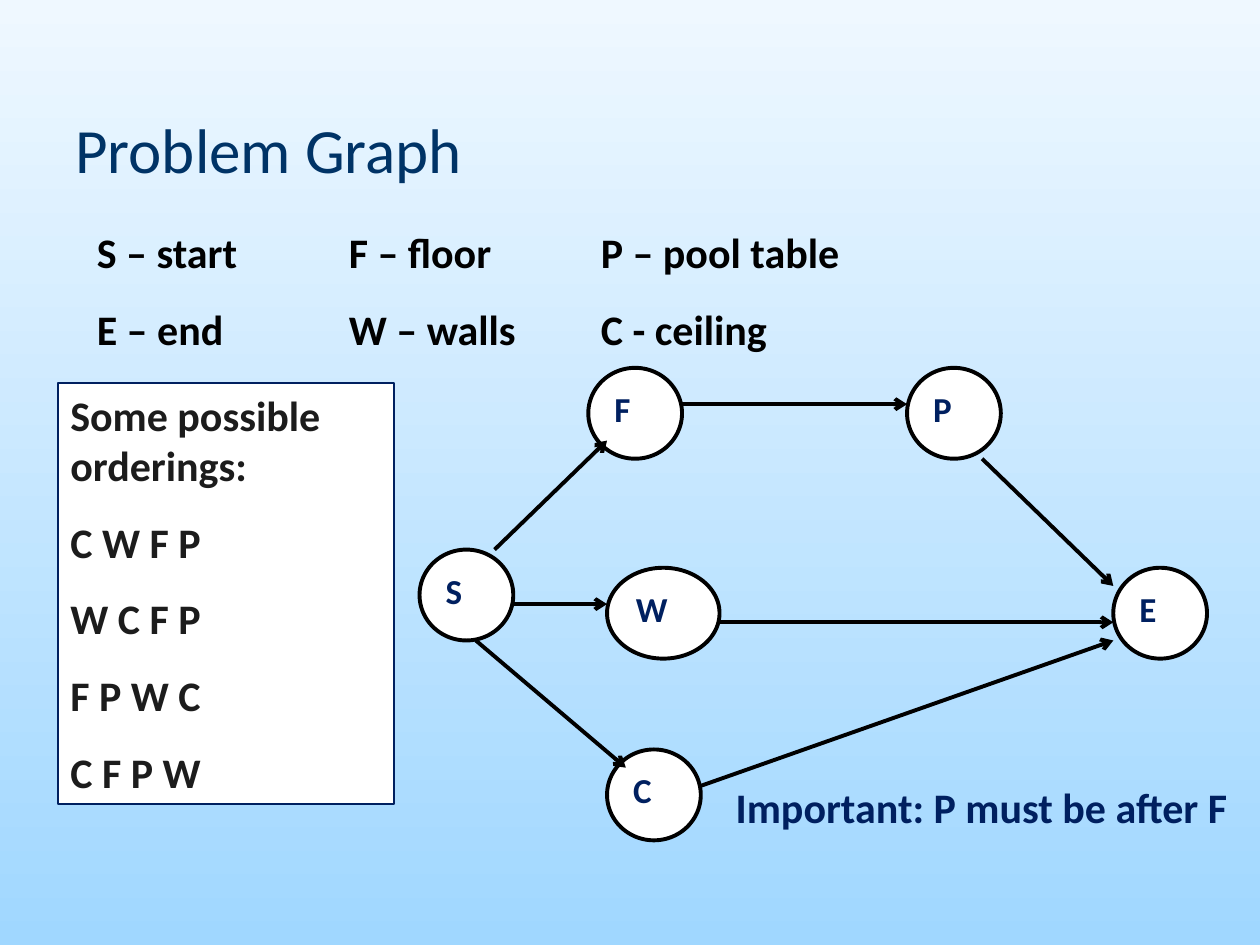
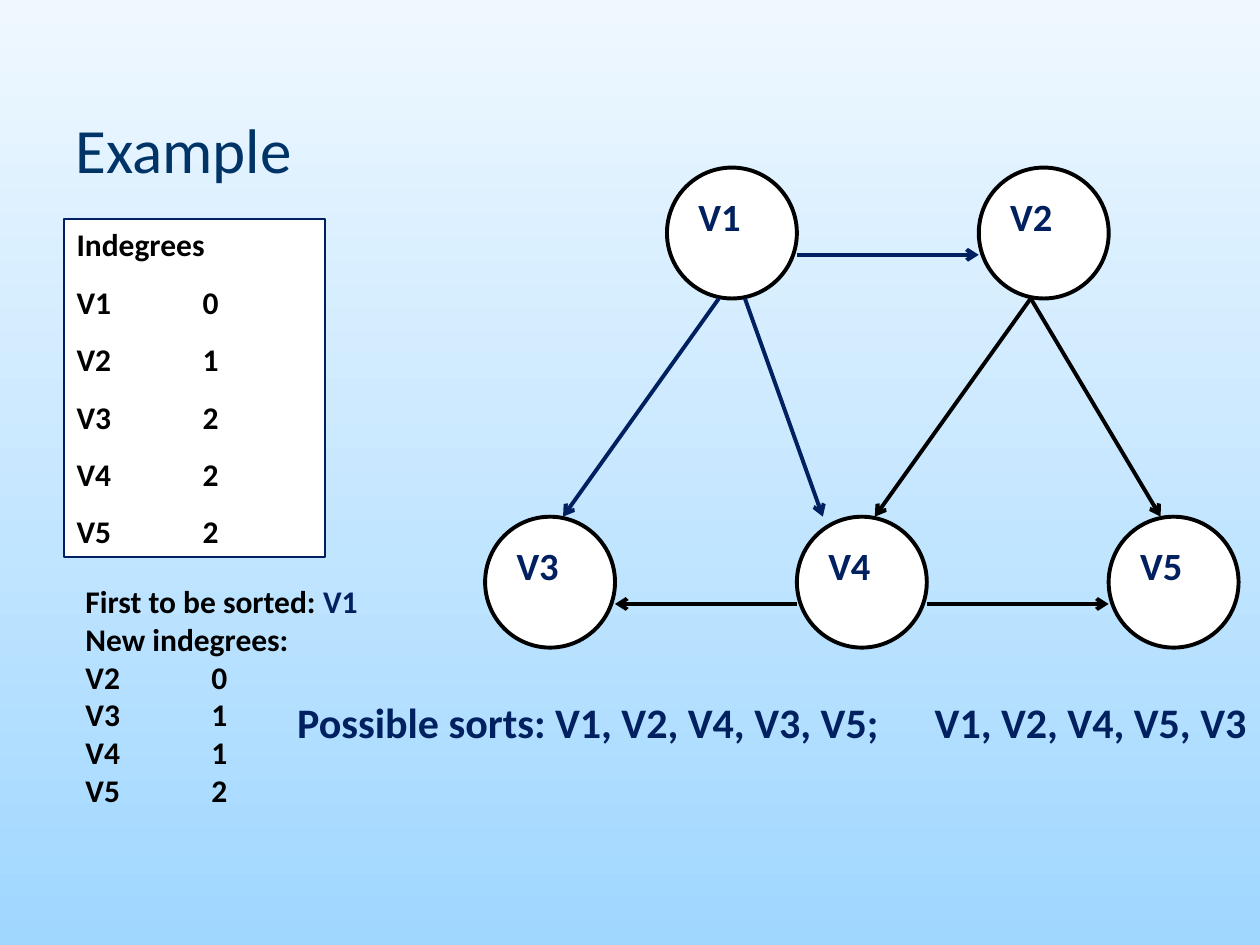
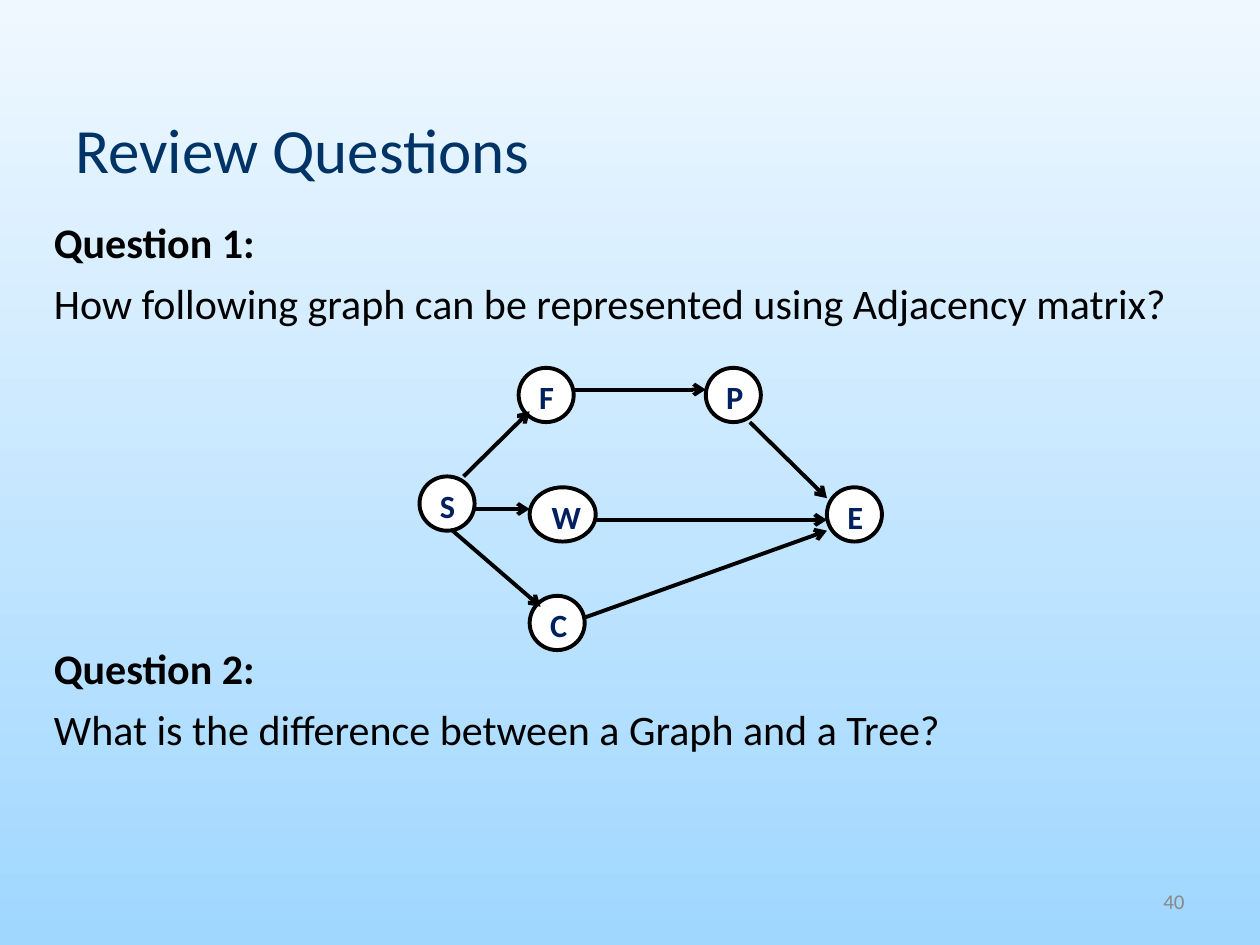
from lxml import etree
from pptx import Presentation
from pptx.dml.color import RGBColor
from pptx.enum.shapes import MSO_CONNECTOR, MSO_SHAPE
from pptx.enum.text import MSO_ANCHOR, MSO_AUTO_SIZE, PP_ALIGN
from pptx.oxml.ns import qn
from pptx.util import Inches, Pt

ELLIPSE, RECTANGLE = MSO_SHAPE.OVAL, MSO_SHAPE.RECTANGLE
STRAIGHT = MSO_CONNECTOR.STRAIGHT
TOP, MIDDLE = MSO_ANCHOR.TOP, MSO_ANCHOR.MIDDLE
LEFT, RIGHT = PP_ALIGN.LEFT, PP_ALIGN.RIGHT
GROW, FIXED = MSO_AUTO_SIZE.SHAPE_TO_FIT_TEXT, MSO_AUTO_SIZE.NONE

COLORS = {
    "sky_top": "EFF8FF",
    "sky_bottom": "A0D7FF",
    "title": "003366",
    "navy": "002060",
    "black": "000000",
    "charcoal": "1C1C1C",
    "white": "FFFFFF",
    "gray": "898989",
}
FONT = "Calibri"

TASK_GRID = (42, 26)
TASK_NODES = [
    ("S", 0, 10, 5, 5), ("F", 9, 0, 5, 5), ("P", 26, 0, 5, 5),
    ("W", 10, 11, 6, 5), ("C", 10, 21, 5, 5), ("E", 37, 11, 5, 5),
]
TASK_EDGES = [
    (4, 10, 10, 4), (14, 2, 26, 2), (3, 15, 11, 22), (5, 13, 10, 13),
    (16, 14, 37, 14), (15, 23, 37, 15), (30, 5, 37, 12),
]
SORT_GRID = (58, 22)
SORT_NODES = [
    ("V1", 14, 0, 10, 6), ("V2", 38, 0, 10, 6), ("V3", 0, 16, 10, 6),
    ("V4", 24, 16, 10, 6), ("V5", 48, 16, 10, 6),
]
V1_EDGES = [(24, 4, 38, 4), (18, 6, 6, 16), (20, 6, 26, 16)]
LATER_EDGES = [(42, 6, 30, 16), (42, 6, 52, 16), (24, 20, 10, 20), (34, 20, 48, 20)]


def rgb(color):
    return RGBColor.from_string(COLORS[color])


def assign(target, values):
    for attribute, value in values.items():
        setattr(target, attribute, value)


class Deck:
    def __init__(self):
        self.prs = Presentation()
        self.prs.slide_width, self.prs.slide_height = Inches(10), Inches(7.5)
        self.slide = None
        sky = self.prs.slide_master.background.fill
        sky.gradient()
        sky.gradient_angle = 270
        for stop, color in zip(sky.gradient_stops, ("sky_top", "sky_bottom")):
            stop.color.rgb = rgb(color)

    def place(self, x, y):
        return int(self.prs.slide_width * x / 100), int(self.prs.slide_height * y / 100)

    def area(self, left, top, width, height):
        return *self.place(left, top), *self.place(width, height)

    def new_slide(self, title):
        self.slide = self.prs.slides.add_slide(self.prs.slide_layouts[6])
        self.text((5, 10.67, 90, 10), [title], 36, "title", bold=False, anchor=MIDDLE)

    def fill_text(self, frame, paragraphs, size, color, bold=True, gap=0, tabs=(),
                  anchor=TOP, align=LEFT, grow=FIXED, wrap=True, spacing=None):
        assign(frame, {"word_wrap": wrap, "auto_size": grow, "vertical_anchor": anchor})
        for index, runs in enumerate(paragraphs):
            paragraph = frame.paragraphs[0] if index == 0 else frame.add_paragraph()
            assign(paragraph, {
                "alignment": align,
                "line_spacing": spacing,
                "space_before": Pt(gap if index else 0),
            })
            if tabs:
                stops = etree.SubElement(paragraph._p.get_or_add_pPr(), qn("a:tabLst"))
                for inches in tabs:
                    etree.SubElement(stops, qn("a:tab"), pos=str(Inches(inches)), algn="l")
            for words, run_color, run_bold in [(runs, color, bold)] if isinstance(runs, str) else runs:
                run = paragraph.add_run()
                run.text = words
                assign(run.font, {"name": FONT, "size": Pt(size), "bold": run_bold})
                run.font.color.rgb = rgb(run_color)
        return frame

    def text(self, area, paragraphs, size, color, **style):
        box = self.slide.shapes.add_textbox(*self.area(*area))
        return self.fill_text(box.text_frame, paragraphs, size, color, **style)

    def panel(self, kind, area, paragraphs, size, color, outline, weight, **style):
        panel = self.slide.shapes.add_shape(kind, *self.area(*area))
        panel.shadow.inherit = False
        panel.fill.solid()
        panel.fill.fore_color.rgb = rgb("white")
        panel.line.color.rgb = rgb(outline)
        panel.line.width = Pt(weight)
        self.fill_text(panel.text_frame, paragraphs, size, color, **style)

    def arrow(self, start, end, color):
        arrow = self.slide.shapes.add_connector(STRAIGHT, *self.place(*start), *self.place(*end))
        arrow.line.color.rgb = rgb(color)
        arrow.line.width = Pt(2.25)
        properties = arrow._element.spPr
        etree.SubElement(properties.find(qn("a:ln")), qn("a:tailEnd"), type="arrow")
        etree.SubElement(properties, qn("a:effectLst"))

    def graph(self, area, grid, nodes, edges_by_color, size, **style):
        left, top, width, height = area
        column, row = width / grid[0], height / grid[1]
        for label, x, y, columns, rows in nodes:
            spot = (left + x * column, top + y * row, columns * column, rows * row)
            self.panel(ELLIPSE, spot, [label], size, "navy", "black", 2.25, **style)
        for color, edges in edges_by_color.items():
            for x1, y1, x2, y2 in edges:
                self.arrow((left + x1 * column, top + y1 * row),
                           (left + x2 * column, top + y2 * row), color)


def problem_graph(deck):
    deck.new_slide("Problem Graph")
    deck.graph((33.3, 38.93, 62.5, 50), TASK_GRID, TASK_NODES, {"black": TASK_EDGES}, 20)
    deck.text((6.7, 23.33, 68.3, 14.8),
              ["S – start\tF – floor\tP – pool table", "E – end\tW – walls\tC - ceiling"],
              24, "black", gap=15, tabs=(2, 4), grow=GROW)
    deck.panel(RECTANGLE, (4.6, 40.53, 26.7, 44.53),
               ["Some possible orderings:", "C W F P", "W C F P", "F P W C", "C F P W"],
               24, "charcoal", "navy", 1, gap=15, grow=GROW)
    deck.text((57.4, 82, 52.5, 6.67), ["Important: P must be after F"], 24, "navy", grow=GROW)


def example(deck):
    deck.new_slide("Example")
    deck.graph((38.5, 17.73, 59.8, 50.8), SORT_GRID, SORT_NODES,
               {"navy": V1_EDGES, "black": LATER_EDGES}, 22)
    deck.panel(RECTANGLE, (5.1, 23.2, 20.7, 35.73),
               ["Indegrees", "V1\t0", "V2\t1", "V3\t2", "V4\t2", "V5\t2"],
               18, "black", "navy", 1, gap=11.2, tabs=(1,), grow=GROW)
    first_sorted = [("First to be sorted: ", "black", True), ("V1", "navy", True)]
    deck.text((5.8, 60.93, 23.7, 25.33),
              [first_sorted, "New indegrees:", "V2\t0", "V3\t1", "V4\t1", "V5\t2"],
              18, "black", tabs=(1,), grow=GROW, wrap=False)
    deck.text((22.6, 73.07, 95.8, 6.67),
              ["Possible sorts: V1, V2, V4, V3, V5;\tV1, V2, V4, V5, V3"],
              24, "navy", tabs=(5.06,), grow=GROW)


def review_questions(deck):
    deck.new_slide("Review Questions")
    questions = deck.text(
        (3.3, 22.27, 91.7, 66),
        [[("Question 1:", "black", True)],
         "How following graph can be represented using Adjacency matrix?",
         [("Question 2:", "black", True)],
         "What is the difference between a Graph and a Tree?"],
        24, "black", bold=False, gap=6)
    questions.paragraphs[2].space_before = Pt(180)
    deck.text((71.7, 92.67, 23.3, 5.33), ["40"], 12, "gray", bold=False,
              anchor=MIDDLE, align=RIGHT)
    deck.graph((33.3, 38.93, 36.7, 29.87), TASK_GRID, TASK_NODES,
               {"black": TASK_EDGES}, 18.5, spacing=0.9)


def main():
    deck = Deck()
    for build in (problem_graph, example, review_questions):
        build(deck)
    deck.prs.save("out.pptx")


if __name__ == "__main__":
    main()
